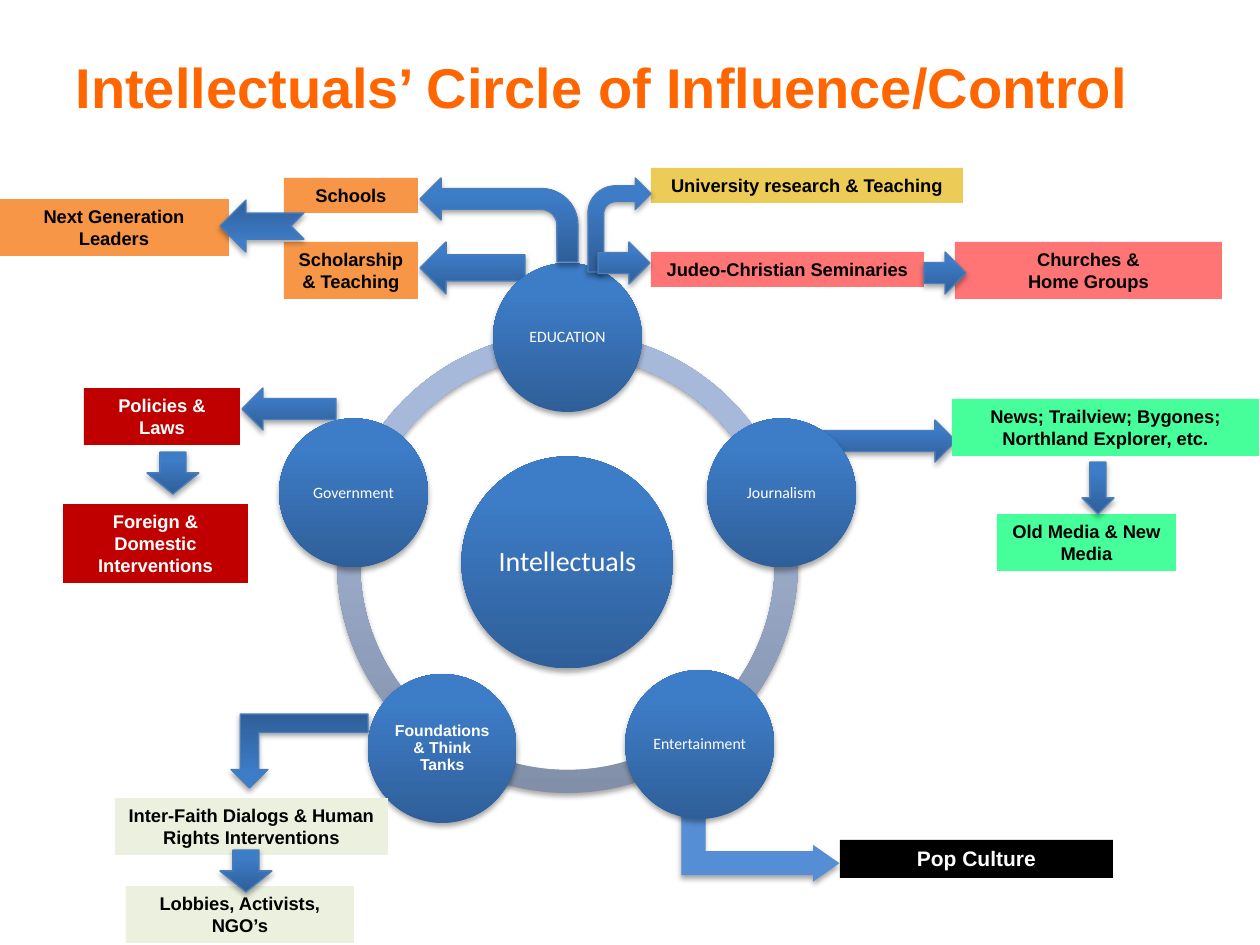
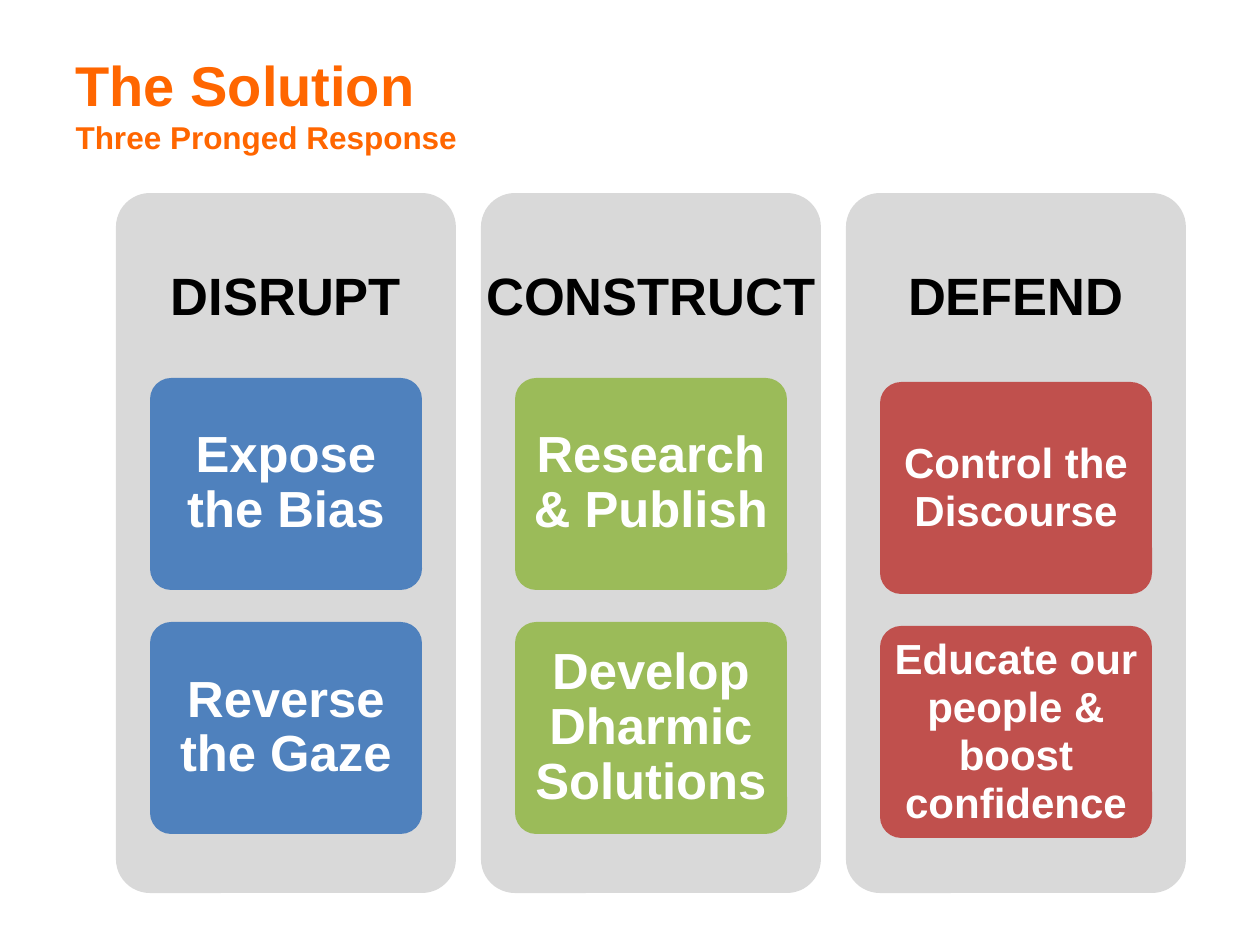
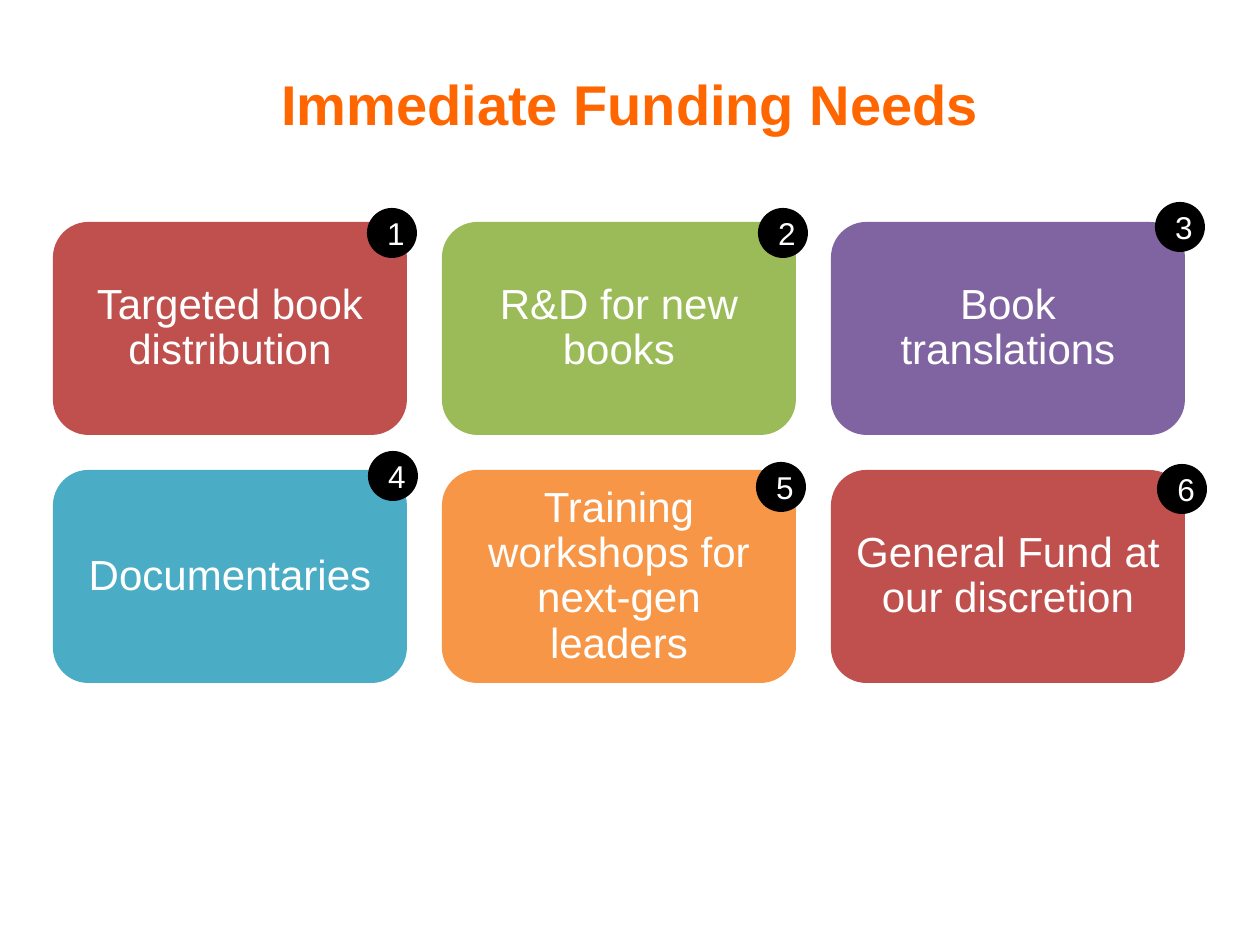
import math

import lxml.etree
import pptx
import pptx.dml.color
import pptx.enum.shapes
import pptx.enum.text
import pptx.oxml
import pptx.oxml.ns
import pptx.util

SHAPES = pptx.enum.shapes.MSO_SHAPE
ALIGN = pptx.enum.text.PP_ALIGN
ANCHOR = pptx.enum.text.MSO_ANCHOR
PIXELS_PER_INCH = 126
SLIDE_SIZE = (1260, 945)
ORANGE, RED, GREEN, BLUE = "FF6600", "C0504D", "9BBB59", "4F81BD"
PURPLE, TEAL, AMBER = "8064A2", "4BACC6", "F79646"
BLACK, WHITE, GRAY = "000000", "FFFFFF", "D9D9D9"
CRIMSON, MINT, SAND, CREAM = "C00000", "47FF9A", "ECCC56", "EBF1DE"
PURE_RED, ARROW_LINE, LIGHT_BLUE = "FF0000", "4B7EBC", "558ED5"
BLUE_GRADIENT = ("2F5F99", "3D7CC7")
RING_GRADIENT = ("818FA8", "A7B9DA")
SHADOW = (
    '<a:effectLst %s><a:outerShdw blurRad="40000" dist="23000" dir="5400000" rotWithShape="0">'
    '<a:srgbClr val="000000"><a:alpha val="35000"/></a:srgbClr></a:outerShdw></a:effectLst>'
    % pptx.oxml.ns.nsdecls("a")
)
LABEL_FONT = {"size": 10.5, "bold": True}
CARD_FONT = {"size": 24, "color": WHITE}

NODES = [
    ("EDUCATION", {"name": "Calibri"}, (0, 0)),
    ("Journalism", {"name": "Calibri"}, (0, 0)),
    ("Entertainment", {"name": "Calibri"}, (0, 0)),
    ("Foundations & Think Tanks", {"bold": True}, (7, 4)),
    ("Government", {"name": "Calibri"}, (0, 0)),
]
BRANCHES = [
    {
        "corner": (0, 160),
        "back": [(SHAPES.LEFT_ARROW, (420, 82, 105, 52), {})],
        "labels": [
            ("University research & Teaching", (651, 8, 312, 35), SAND, {}),
            ("Next Generation Leaders", (-1, 39, 230, 57), AMBER, {}),
            ("Schools", (284, 18, 134, 35), AMBER, {}),
            ("Scholarship & Teaching", (284, 82, 134, 57), AMBER, {}),
            ("Judeo-Christian Seminaries", (651, 92, 273, 35), PURE_RED, {"opacity": 54}),
            ("Churches &\nHome Groups", (955, 82, 267, 57), PURE_RED, {"opacity": 54}),
        ],
        "front": [
            (SHAPES.BENT_ARROW, (420, 18, 158, 84), {"mirrored": True}),
            (SHAPES.BENT_ARROW, (588, 18, 63, 94), {}),
            (SHAPES.RIGHT_ARROW, (598, 82, 52, 42), {}),
            (SHAPES.NOTCHED_RIGHT_ARROW, (220, 40, 84, 52), {"rotation": 180}),
            (SHAPES.RIGHT_ARROW, (924, 92, 42, 42), {}),
        ],
    },
    {
        "corner": (800, 390),
        "back": [(SHAPES.RIGHT_ARROW, (9, 30, 147, 42), {})],
        "labels": [
            ("News; Trailview; Bygones; Northland Explorer, etc.", (152, 9, 307, 57), MINT, {}),
            ("Old Media & New Media", (197, 124, 179, 57), MINT, {}),
        ],
        "front": [(SHAPES.DOWN_ARROW, (282, 72, 32, 52), {})],
    },
    {
        "corner": (680, 760),
        "back": [
            (SHAPES.BENT_UP_ARROW, (44, 6, 73, 158),
             {"rotation": 90, "fill": LIGHT_BLUE, "line": None,
              "adjustments": (0.33, 0.25, 0.36)}),
        ],
        "labels": [("Pop Culture", (160, 80, 273, 38), BLACK, {"color": WHITE, "size": 12})],
        "front": [],
    },
    {
        "corner": (110, 700),
        "back": [(SHAPES.BENT_UP_ARROW, (121, 14, 137, 74), {"rotation": 180})],
        "labels": [
            ("Inter-Faith Dialogs & Human Rights Interventions", (5, 98, 273, 57), CREAM, {}),
            ("Lobbies, Activists, NGO’s", (16, 186, 228, 57), CREAM, {}),
        ],
        "front": [(SHAPES.DOWN_ARROW, (110, 150, 52, 42), {})],
    },
    {
        "corner": (60, 380),
        "back": [(SHAPES.LEFT_ARROW, (182, 8, 94, 42), {})],
        "labels": [
            ("Policies & Laws", (24, 8, 156, 57), CRIMSON, {"color": WHITE}),
            ("Foreign & Domestic Interventions", (3, 124, 185, 79), CRIMSON, {"color": WHITE}),
        ],
        "front": [(SHAPES.DOWN_ARROW, (87, 72, 52, 42), {})],
    },
]
PRONGS = [
    ("DISRUPT", BLUE, ("Expose the Bias", "Reverse the Gaze"), 185, 29, 0.9),
    ("CONSTRUCT", GREEN, ("Research & Publish", "Develop Dharmic Solutions"), 185, 29, 0.9),
    ("DEFEND", RED, ("Control the Discourse", "Educate our people & boost confidence"), 189, 24, 0.95),
]
NEEDS = [
    ("Targeted book distribution", RED, (314, -14)),
    ("R&D for new books", GREEN, (316, -14)),
    ("Book translations", PURPLE, (324, -20)),
    ("Documentaries", TEAL, (315, -19)),
    ("Training workshops for next-gen leaders", AMBER, (314, -8)),
    ("General Fund at our discretion", RED, (326, -6)),
]


def px(length):
    """Turn pixels into EMU."""
    return pptx.util.Emu(round(length * 914400 / PIXELS_PER_INCH))


def rgb(color):
    """Turn a hex string into a colour."""
    return pptx.dml.color.RGBColor.from_string(color)


def set_values(target, values):
    """Set each named attribute of the target."""
    for name, value in values.items():
        setattr(target, name, value)


def shifted(box, corner):
    """Move a box by a corner's offset."""
    return (box[0] + corner[0], box[1] + corner[1], *box[2:])


def style_font(font, size, color=BLACK, bold=False, name="Arial"):
    """Give a font its size, colour, weight and face."""
    set_values(font, {"size": pptx.util.Pt(size), "bold": bold, "name": name})
    font.color.rgb = rgb(color)


def write_text(shape, text, font, insets=(13, 6), anchor=ANCHOR.MIDDLE, spacing=1.0):
    """Write centred paragraphs into a shape."""
    across, down = map(px, insets)
    frame = shape.text_frame
    set_values(frame, {
        "text": text, "word_wrap": True, "vertical_anchor": anchor,
        "margin_left": across, "margin_right": across,
        "margin_top": down, "margin_bottom": down,
    })
    for paragraph in frame.paragraphs:
        set_values(paragraph, {"alignment": ALIGN.CENTER, "line_spacing": spacing})
        for run in paragraph.runs:
            style_font(run.font, **font)


def paint(fill, color):
    """Fill with one colour, or with a gradient rising from the bottom."""
    if isinstance(color, str):
        fill.solid()
        fill.fore_color.rgb = rgb(color)
        return
    fill.gradient()
    fill.gradient_angle = 90
    for stop, position, stop_color in zip(fill.gradient_stops, (0, 0.8), color):
        stop.position = position
        stop.color.rgb = rgb(stop_color)


def add_shape(slide, kind, box, color, line=None, shadow=False, adjustments=()):
    """Add a preset shape with its fill, line and shadow."""
    shape = slide.shapes.add_shape(kind, *map(px, box))
    for index, value in enumerate(adjustments):
        shape.adjustments[index] = value
    paint(shape.fill, color)
    if line:
        shape.line.color.rgb = rgb(line)
        shape.line.width = pptx.util.Pt(0.75)
    else:
        shape.line.fill.background()
    if shadow:
        shape._element.spPr.append(pptx.oxml.parse_xml(SHADOW))
    else:
        shape.shadow.inherit = False
    return shape


def add_titled_slide(presentation, title, top, alignment, subtitle=None):
    """Add a slide and format its title placeholder."""
    slide = presentation.slides.add_slide(presentation.slide_layouts[5])
    placeholder = slide.shapes.title
    set_values(placeholder, {"left": px(63), "top": px(top), "width": px(1134), "height": px(130)})
    frame = placeholder.text_frame
    set_values(frame, {
        "auto_size": pptx.enum.text.MSO_AUTO_SIZE.NONE, "vertical_anchor": ANCHOR.MIDDLE,
    })
    paragraph = frame.paragraphs[0]
    paragraph.alignment = alignment
    for text, size in ((title, 32), (subtitle, 18)):
        if text:
            if paragraph.runs:
                paragraph.add_line_break()
            run = paragraph.add_run()
            run.text = text
            style_font(run.font, size, ORANGE, True)
    return slide


def draw_arrow(slide, kind, box, rotation=0, mirrored=False, fill=BLUE_GRADIENT,
               line=ARROW_LINE, adjustments=()):
    """Draw one block arrow, turned or mirrored."""
    arrow = add_shape(slide, kind, box, fill, line, True, adjustments)
    arrow.rotation = rotation
    if mirrored:
        arrow._element.spPr.xfrm.set("flipH", "1")


def draw_label(slide, text, box, fill, opacity=None, **font):
    """Draw one filled label with bold text."""
    label = add_shape(slide, SHAPES.RECTANGLE, box, fill)
    if opacity:
        color = label._element.spPr.find(".//" + pptx.oxml.ns.qn("a:srgbClr"))
        alpha = lxml.etree.SubElement(color, pptx.oxml.ns.qn("a:alpha"))
        alpha.set("val", str(opacity * 1000))
    write_text(label, text, {**LABEL_FONT, **font}, anchor=ANCHOR.TOP)


def draw_branch_arrows(slide, branch, layer):
    """Draw a branch's arrows of one layer from its corner."""
    for kind, box, options in branch[layer]:
        draw_arrow(slide, kind, shifted(box, branch["corner"]), **options)


def draw_wheel(slide, box):
    """Draw the ring, the hub and its five nodes inside a square box."""
    left, top, side = box[:3]
    center = (left + side / 2, top + side / 2)
    step = 360 / len(NODES)
    for index in range(len(NODES)):
        start = (270 + step * index) % 360
        end = (start + step) % 360
        add_shape(slide, SHAPES.BLOCK_ARC, box, RING_GRADIENT, shadow=True,
                  adjustments=(start * 0.6, end * 0.6, 0.05))

    def draw_disc(text, middle, diameter, font):
        """Draw one disc with white text around its middle."""
        disc_box = (middle[0] - diameter / 2, middle[1] - diameter / 2, diameter, diameter)
        disc = add_shape(slide, SHAPES.OVAL, disc_box, BLUE_GRADIENT, shadow=True)
        write_text(disc, text, {"color": WHITE, **font}, insets=(1, 1), spacing=0.9)

    draw_disc("Intellectuals", center, 212, {"size": 16, "name": "Calibri"})
    for index, (text, font, nudge) in enumerate(NODES):
        angle = math.radians(step * index)
        middle = (center[0] + 225 * math.sin(angle) + nudge[0],
                  center[1] - 225 * math.cos(angle) + nudge[1])
        draw_disc(text, middle, 149, {"size": 9, **font})


def build_influence_slide(presentation):
    """Build the wheel of influence with its branches."""
    slide = add_titled_slide(presentation, "Intellectuals’ Circle of Influence/Control", 21, ALIGN.LEFT)
    for branch in BRANCHES:
        draw_branch_arrows(slide, branch, "back")
    draw_wheel(slide, (337, 332, 461, 461))
    for branch in BRANCHES:
        for text, box, fill, options in branch["labels"]:
            draw_label(slide, text, shifted(box, branch["corner"]), fill, **options)
        draw_branch_arrows(slide, branch, "front")


def draw_prong(slide, box, heading, color, actions, first_top, size, spacing):
    """Draw one column with a heading and its stacked actions."""
    left, top, width, _ = box
    add_shape(slide, SHAPES.ROUNDED_RECTANGLE, box, GRAY, adjustments=(0.1,))
    heading_box = slide.shapes.add_textbox(*map(px, (left, top, width, 210)))
    write_text(heading_box, heading, {"size": 30, "bold": True}, insets=(0, 15), spacing=0.9)
    for index, action in enumerate(actions):
        action_box = (left + 34, top + first_top + 244 * index, width - 68, 212)
        block = add_shape(slide, SHAPES.ROUNDED_RECTANGLE, action_box, color, adjustments=(0.1,))
        write_text(block, action, {"size": size, "color": WHITE, "bold": True},
                   insets=(7, 6), spacing=spacing)


def build_solution_slide(presentation):
    """Build the three columns of the response."""
    slide = add_titled_slide(presentation, "The Solution", 38, ALIGN.LEFT, "Three Pronged Response")
    for index, prong in enumerate(PRONGS):
        draw_prong(slide, (116 + 365 * index, 193, 340, 700), *prong)


def draw_need(slide, box, number, text, color, badge_offset):
    """Draw one card with its numbered badge."""
    card = add_shape(slide, SHAPES.ROUNDED_RECTANGLE, box, color)
    write_text(card, text, CARD_FONT, insets=(13, 6), spacing=0.9)
    badge = add_shape(slide, SHAPES.OVAL, shifted((*badge_offset, 50, 50), box), BLACK)
    write_text(badge, str(number), {"size": 18, "color": WHITE})


def build_funding_slide(presentation):
    """Build the grid of numbered funding needs."""
    slide = add_titled_slide(presentation, "Immediate Funding Needs", 38, ALIGN.CENTER)
    for index, need in enumerate(NEEDS):
        row, column = divmod(index, 3)
        draw_need(slide, (53 + 389 * column, 222 + 248 * row, 354, 213), index + 1, *need)


def main():
    """Build and save the presentation."""
    presentation = pptx.Presentation()
    presentation.slide_width, presentation.slide_height = map(px, SLIDE_SIZE)
    build_influence_slide(presentation)
    build_solution_slide(presentation)
    build_funding_slide(presentation)
    presentation.save("out.pptx")


if __name__ == "__main__":
    main()
